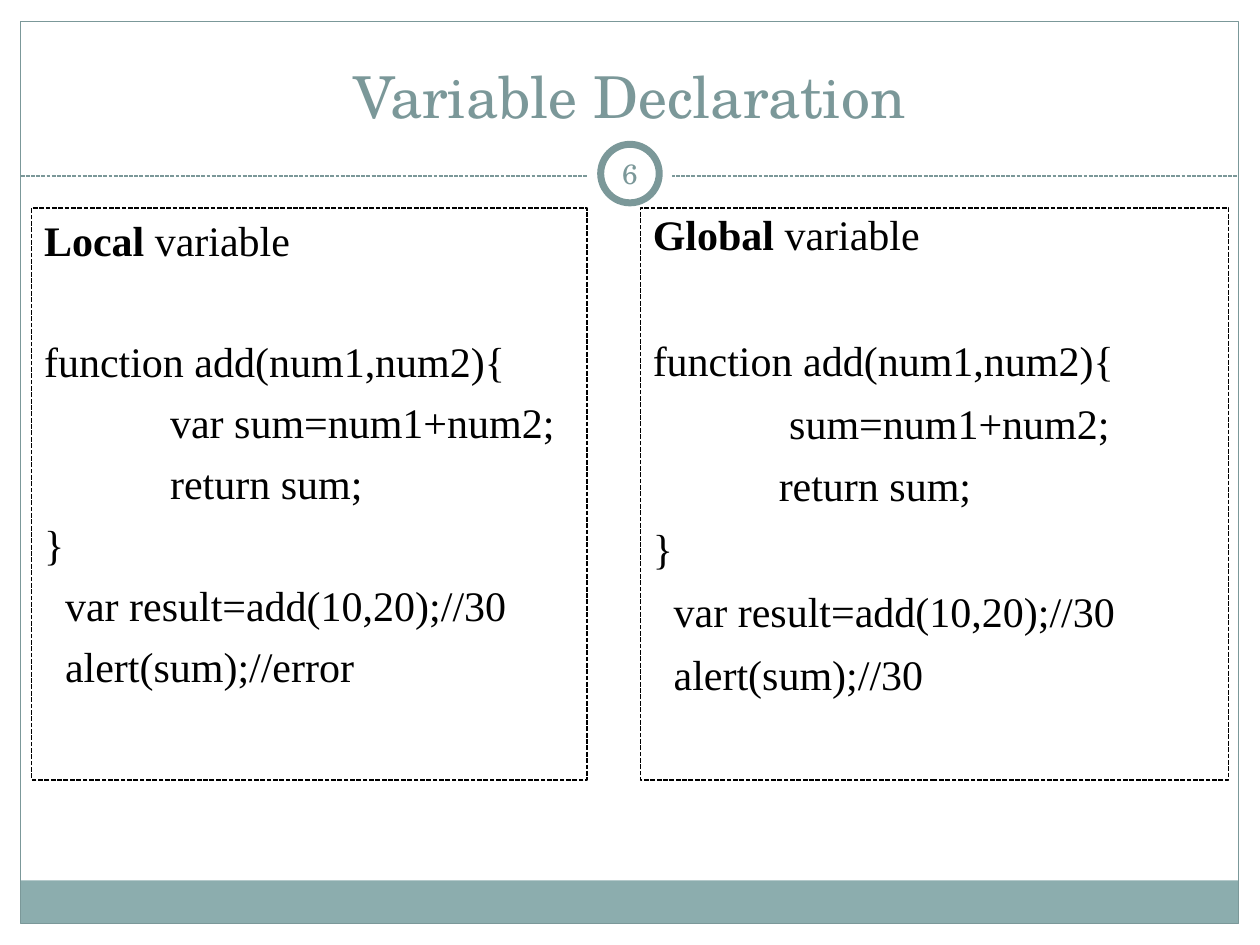
import pptx
import pptx.dml.color
import pptx.enum.dml
import pptx.enum.shapes
import pptx.enum.text
import pptx.oxml.ns
import pptx.util
from lxml import etree
from pptx.util import Cm, Pt

SLATE, TEAL, WHITE, BLACK = "7B9899", "8CADAE", "FFFFFF", "000000"
HEADING_FONT, CODE_FONT = "TeX Gyre Schola", "Times New Roman"
SHAPES = pptx.enum.shapes.MSO_SHAPE
ALIGN = pptx.enum.text.PP_ALIGN
ANCHOR = pptx.enum.text.MSO_ANCHOR
DASH = pptx.enum.dml.MSO_LINE.SQUARE_DOT


def rgb(hex_colour):
    return pptx.dml.color.RGBColor.from_string(hex_colour)


def set_font(paragraph, name, size, colour):
    paragraph.font.name = name
    paragraph.font.size = Pt(size)
    paragraph.font.color.rgb = rgb(colour)


def set_line(line, colour, width, dash=None):
    line.color.rgb = rgb(colour)
    line.width = Pt(width)
    if dash:
        line.dash_style = dash


def add_tab_stop(paragraph, position):
    """Add a left tab stop; call it after spacing and before the font is set."""
    properties = paragraph._p.get_or_add_pPr()
    stops = etree.SubElement(properties, pptx.oxml.ns.qn("a:tabLst"))
    etree.SubElement(stops, pptx.oxml.ns.qn("a:tab"), pos=str(Cm(position)), algn="l")


def add_plain_shape(slide, kind, box, fill=None):
    """Add a shape without shadow or line; box is left, top, width, height in cm."""
    shape = slide.shapes.add_shape(kind, *map(Cm, box))
    shape.shadow.inherit = False
    shape.line.fill.background()
    if fill:
        shape.fill.solid()
        shape.fill.fore_color.rgb = rgb(fill)
    else:
        shape.fill.background()
    return shape


def draw_frame(slide, left, top, width, height):
    """Draw the page border, its bottom band and the dashed divider."""
    band_height = 0.87
    add_plain_shape(slide, SHAPES.RECTANGLE,
                    (left, top + height - band_height, width, band_height), TEAL)
    border = add_plain_shape(slide, SHAPES.RECTANGLE, (left, top, width, height))
    set_line(border.line, SLATE, 0.75)
    divider_y = top + 3.12
    divider = slide.shapes.add_connector(
        pptx.enum.shapes.MSO_CONNECTOR.STRAIGHT,
        Cm(left), Cm(divider_y), Cm(left + width), Cm(divider_y))
    set_line(divider.line, SLATE, 0.75, DASH)
    etree.SubElement(divider._element.spPr, pptx.oxml.ns.qn("a:effectLst"))


def draw_page_badge(slide, left, top, size, number):
    add_plain_shape(slide, SHAPES.OVAL, (left, top, size, size), WHITE)
    inset = 0.26
    ring_size = size - 2 * inset
    ring = add_plain_shape(slide, SHAPES.OVAL,
                           (left + inset, top + inset, ring_size, ring_size), WHITE)
    set_line(ring.line, SLATE, 4)
    frame = ring.text_frame
    frame.margin_left = frame.margin_right = frame.margin_top = frame.margin_bottom = 0
    frame.word_wrap = False
    frame.vertical_anchor = ANCHOR.MIDDLE
    paragraph = frame.paragraphs[0]
    paragraph.text = number
    paragraph.alignment = ALIGN.CENTER
    set_font(paragraph, HEADING_FONT, 16, SLATE)


def place_title(slide, left, top, width, height, text):
    title = slide.shapes.title
    title.left, title.top, title.width, title.height = map(Cm, (left, top, width, height))
    frame = title.text_frame
    frame.text = text
    frame.auto_size = pptx.enum.text.MSO_AUTO_SIZE.NONE
    frame.vertical_anchor = ANCHOR.BOTTOM
    frame.paragraphs[0].alignment = ALIGN.CENTER
    set_font(frame.paragraphs[0], HEADING_FONT, 33, SLATE)


def draw_code_panel(slide, box, scope, code, gap, heading_gap, line_spacing):
    """Draw a dashed panel with a scope heading above code; gaps are in points."""
    panel = add_plain_shape(slide, SHAPES.RECTANGLE, box, WHITE)
    set_line(panel.line, BLACK, 0.91, DASH)
    frame = panel.text_frame
    frame.word_wrap = True
    frame.vertical_anchor = ANCHOR.TOP
    heading = frame.paragraphs[0]
    scope_run = heading.add_run()
    scope_run.text = scope
    scope_run.font.bold = True
    heading.add_run().text = " variable"
    for index, code_line in enumerate(code):
        paragraph = frame.add_paragraph()
        paragraph.text = code_line
        paragraph.space_before = Pt(gap if index else heading_gap)
    for paragraph in frame.paragraphs:
        paragraph.alignment = ALIGN.LEFT
        paragraph.line_spacing = line_spacing
        add_tab_stop(paragraph, 2.54)
        set_font(paragraph, CODE_FONT, 24, BLACK)


def add_code_lines(sum_line, alert_result):
    return ["function add(num1,num2){", sum_line, "\treturn sum;", "}",
            "  var result=add(10,20);//30", f"  alert(sum);//{alert_result}"]


def main():
    presentation = pptx.Presentation()
    presentation.slide_width, presentation.slide_height = Cm(25.4), Cm(19.05)
    slide = presentation.slides.add_slide(presentation.slide_layouts[5])
    draw_frame(slide, 0.42, 0.43, 24.55, 18.19)
    draw_page_badge(slide, 11.85, 2.65, 1.7, "6")
    place_title(slide, 0.84, 0.64, 23.7, 2.1, "Variable Declaration")
    draw_code_panel(slide, (0.64, 4.19, 11.2, 11.53), "Local",
                    add_code_lines("\tvar sum=num1+num2;", "error"),
                    gap=6, heading_gap=40.8, line_spacing=1.0)
    draw_code_panel(slide, (12.91, 4.19, 11.86, 11.53), "Global",
                    add_code_lines("\t sum=num1+num2;", "30"),
                    gap=10, heading_gap=46, line_spacing=0.9)
    presentation.save("out.pptx")


if __name__ == "__main__":
    main()
